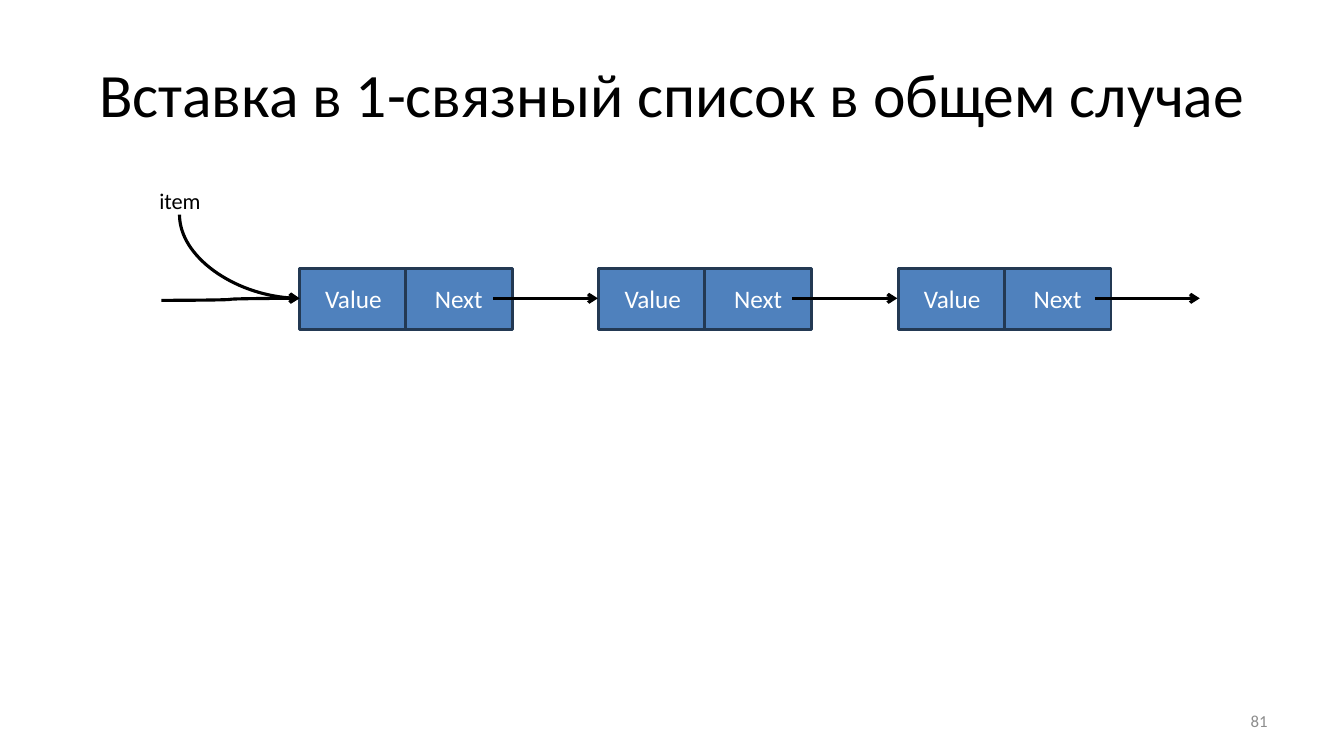
from lxml.etree import SubElement
from pptx import Presentation
from pptx.dml.color import RGBColor
from pptx.enum.shapes import MSO_CONNECTOR, MSO_SHAPE
from pptx.enum.text import MSO_ANCHOR, PP_ALIGN
from pptx.oxml.ns import qn
from pptx.util import Pt

BLACK = RGBColor(0x00, 0x00, 0x00)
WHITE = RGBColor(0xFF, 0xFF, 0xFF)
GRAY = RGBColor(0x8C, 0x8C, 0x8C)
BLUE = RGBColor(0x4F, 0x81, 0xBD)
NAVY = RGBColor(0x23, 0x39, 0x53)
PX = 9144


def assign(target, values):
    for name, value in values.items():
        setattr(target, name, value)


class SlideBuilder:
    font = "Calibri"

    def __init__(self, prs):
        self.s = prs.slides.add_slide(prs.slide_layouts[6])

    def label(self, sp, text, size, color, align=PP_ALIGN.CENTER, **frame):
        tf = sp.text_frame
        assign(tf, {"word_wrap": True, "vertical_anchor": MSO_ANCHOR.MIDDLE, **frame})
        p = tf.paragraphs[0]
        p.alignment = align
        r = p.add_run()
        r.text = text
        assign(r.font, {"name": self.font, "size": Pt(size)})
        r.font.color.rgb = color

    def text(self, box, text, size, color, **frame):
        sp = self.s.shapes.add_textbox(*(v * PX for v in box))
        self.label(sp, text, size, color, **frame)

    def cell(self, box, text):
        sp = self.s.shapes.add_shape(MSO_SHAPE.RECTANGLE, *(v * PX for v in box))
        sp.shadow.inherit = False
        sp.fill.solid()
        sp.fill.fore_color.rgb = BLUE
        sp.line.color.rgb = NAVY
        sp.line.width = Pt(2)
        self.label(sp, text, 18, WHITE)

    def arrow(self, *ends):
        c = self.s.shapes.add_connector(MSO_CONNECTOR.CURVE, *(v * PX for v in ends))
        c.line.color.rgb = BLACK
        c.line.width = Pt(2.25)
        spPr = c._element.spPr
        SubElement(spPr.find(qn("a:ln")), qn("a:tailEnd"), type="arrow")
        SubElement(spPr, qn("a:effectLst"))
        return spPr

    def quarter_arrow(self, *ends):
        spPr = self.arrow(*ends)
        spPr.find(qn("a:xfrm")).set("rot", "16200000")
        spPr.find(qn("a:prstGeom")).set("prst", "curvedConnector2")


def main():
    prs = Presentation()
    assign(prs, {"slide_width": 1333 * PX, "slide_height": 750 * PX})
    b = SlideBuilder(prs)
    b.text((67, 30, 1200, 125), "Вставка в 1-связный список в общем случае", 44, BLACK)
    b.text((956, 695, 311, 40), "81", 12, GRAY, align=PP_ALIGN.RIGHT)
    b.text((143, 186, 71, 27), "item", 16, BLACK, vertical_anchor=MSO_ANCHOR.TOP,
           margin_left=0, margin_top=0, margin_right=0, margin_bottom=0)

    for left in range(297, 892, 297):
        b.cell((left, 266, 107, 61), "Value")
        b.cell((left + 105, 266, 106, 61), "Next")

    b.quarter_arrow(279, 195, 196, 314)
    b.arrow(160, 298, 297, 296)
    for start in (489, 786, 1086):
        b.arrow(start, 296, start + 104, 296)
    prs.save("out.pptx")


if __name__ == "__main__":
    main()
